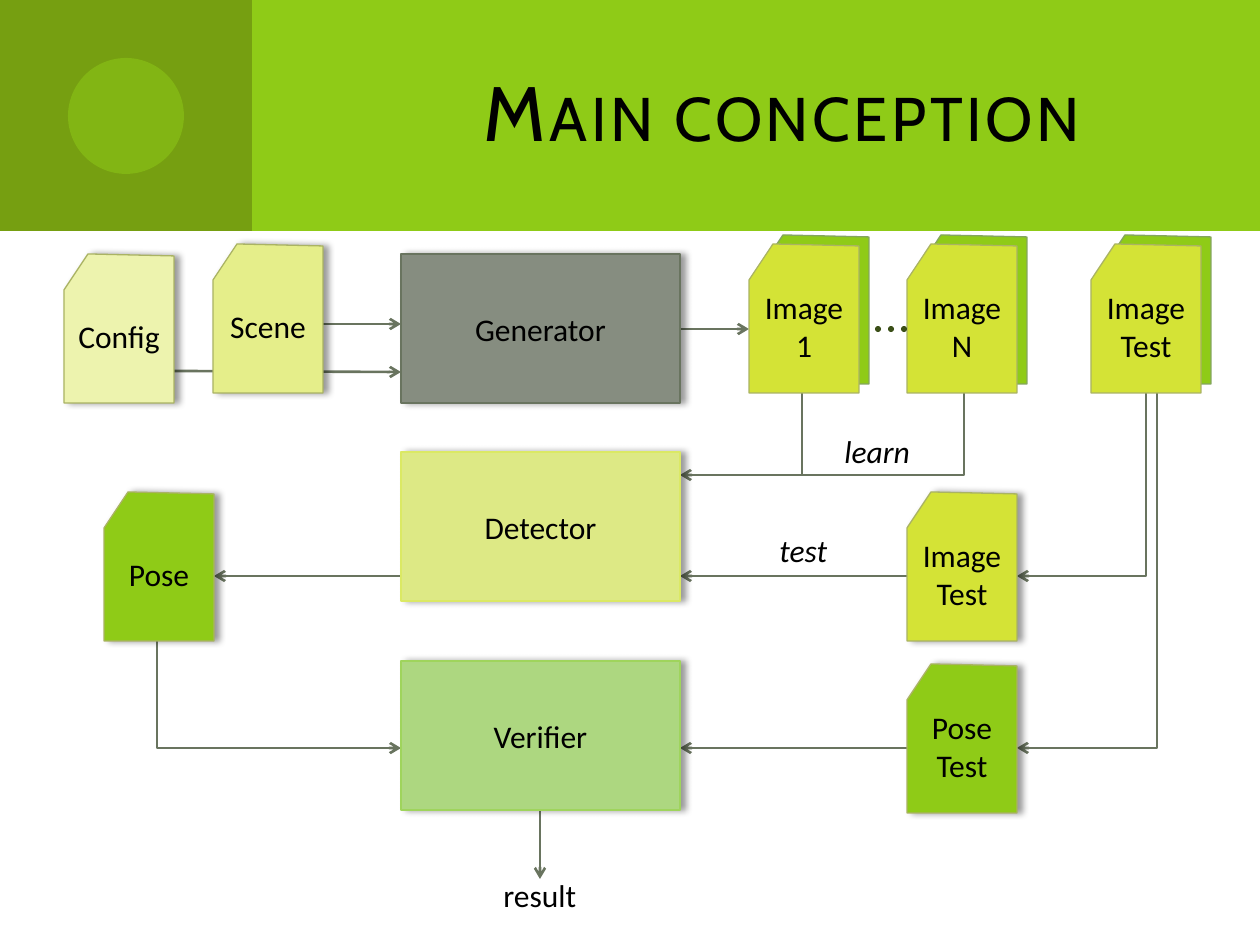
import pptx
import pptx.util
import pptx.dml.color
import pptx.enum.shapes
import pptx.enum.text
import pptx.oxml
import pptx.oxml.ns

RGB = pptx.dml.color.RGBColor
SHAPE = pptx.enum.shapes.MSO_SHAPE
CONNECTOR = pptx.enum.shapes.MSO_CONNECTOR
ALIGN = pptx.enum.text.PP_ALIGN
ANCHOR = pptx.enum.text.MSO_ANCHOR
qn = pptx.oxml.ns.qn

SCALE = 914400 / 126  # EMU in one px
BLACK = RGB(0x00, 0x00, 0x00)
GREEN = RGB(0x8F, 0xCB, 0x17)
DARK_GREEN = RGB(0x76, 0x9F, 0x11)
LIME = RGB(0xD4, 0xE3, 0x36)
CONFIG_FILL = RGB(0xED, 0xF3, 0xAE)
SCENE_FILL = RGB(0xE5, 0xEE, 0x8A)
CARD_LINE = RGB(0xAA, 0xB3, 0x63)
BACK_LINE = RGB(0x84, 0xA5, 0x5E)
ARROW = RGB(0x69, 0x74, 0x5F)
GENERATOR_FILL = RGB(0x86, 0x8D, 0x80)
DETECTOR_FILL = RGB(0xDD, 0xE9, 0x85)
DETECTOR_LINE = RGB(0xDB, 0xE9, 0x64)
VERIFIER_FILL = RGB(0xAD, 0xD7, 0x80)
VERIFIER_LINE = RGB(0x9F, 0xD4, 0x5C)
DOT = RGB(0x3B, 0x4F, 0x18)

CARD_W, CARD_H = 110, 149
CARD_OUTLINE = [(0, 36), (24, 0), (CARD_W, 2), (CARD_W, CARD_H), (0, CARD_H)]
BOX_W, BOX_H = 279, 149
SHADOW = (
    '<a:effectLst xmlns:a="http://schemas.openxmlformats.org/drawingml/2006/main">'
    '<a:outerShdw blurRad="50800" dist="38100" dir="0" rotWithShape="0">'
    '<a:srgbClr val="000000"><a:alpha val="40000"/></a:srgbClr>'
    '</a:outerShdw></a:effectLst>'
)


def px(*lengths):
    return [round(n * SCALE) for n in lengths]


def paint(sp, fill, line=None, shadow=False):
    sp.fill.solid()
    sp.fill.fore_color.rgb = fill
    if line is None:
        sp.line.fill.background()
    else:
        sp.line.color.rgb = line
        sp.line.width = pptx.util.Pt(0.75)
    sp.shadow.inherit = False
    if shadow:
        effects = sp._element.spPr.find(qn("a:effectLst"))
        effects.getparent().replace(effects, pptx.oxml.parse_xml(SHADOW))


def write(sp, text, align=ALIGN.CENTER, size=18, font="Calibri", italic=False):
    tf = sp.text_frame
    tf.text = text
    p = tf.paragraphs[0]
    p.alignment = align
    for r in p.runs:
        r.font.size = pptx.util.Pt(size)
        r.font.name = font
        r.font.color.rgb = BLACK
        if italic:
            r.font.italic = True
    return tf


def shape(s, kind, x, y, w, h, fill, line=None, shadow=False):
    sp = s.shapes.add_shape(kind, *px(x, y, w, h))
    paint(sp, fill, line, shadow)
    return sp


def label(s, text, x, y, w, h, align=ALIGN.CENTER, italic=False):
    sp = s.shapes.add_textbox(*px(x, y, w, h))
    write(sp, text, align, italic=italic).word_wrap = True


def process(s, text, x, y, fill, line):
    sp = shape(s, SHAPE.RECTANGLE, x, y, BOX_W, BOX_H, fill, line, shadow=True)
    write(sp, text).vertical_anchor = ANCHOR.MIDDLE


def sheet(s, x, y, fill, line, shadow=False):
    points = [(x + dx, y + dy) for dx, dy in CARD_OUTLINE]
    builder = s.shapes.build_freeform(*points[0], scale=SCALE)
    builder.add_line_segments(points[1:], close=True)
    paint(builder.convert_to_shape(), fill, line, shadow)


def card(s, text, x, y, fill, stacked=False):
    if stacked:
        sheet(s, x + 10, y - 9, GREEN, BACK_LINE)
    sheet(s, x, y, fill, CARD_LINE, shadow=not stacked)
    h = 89 if "\v" in text else 50
    label(s, text, x, y + 82 - h // 2, CARD_W, h)


def connect(s, x1, y1, x2, y2, bent=False, arrow=True):
    """Straight line, or a bent one that runs vertically first."""
    kind = CONNECTOR.ELBOW if bent else CONNECTOR.STRAIGHT
    c = s.shapes.add_connector(kind, *px(x1, y1, x2, y2))
    c.line.color.rgb = ARROW
    c.line.width = pptx.util.Pt(1.5)
    spPr = c._element.spPr
    if bent:
        guides = spPr.find(qn("a:prstGeom")).get_or_add_avLst()
        gd = guides.makeelement(qn("a:gd"), {"name": "adj1", "fmla": "val 0"})
        guides.append(gd)
    if arrow:
        ln = c.line._get_or_add_ln()
        ln.append(ln.makeelement(qn("a:tailEnd"), {"type": "arrow"}))
    spPr.append(spPr.makeelement(qn("a:effectLst"), {}))


def header(s):
    shape(s, SHAPE.RECTANGLE, 0, 0, 1260, 231, GREEN)
    shape(s, SHAPE.RECTANGLE, 0, 0, 252, 231, DARK_GREEN)
    disc = shape(s, SHAPE.OVAL, 68, 58, 116, 116, GREEN)
    colour = disc._element.spPr.find(qn("a:solidFill"))[0]
    colour.append(colour.makeelement(qn("a:alpha"), {"val": "50000"}))

    # Title goes in front of the band
    title = s.shapes.title
    title._element.getparent().append(title._element)
    title.left, title.top, title.width, title.height = px(336, 32, 861, 157)
    tf = write(title, "Main conception", ALIGN.RIGHT, 44, "Cabin")
    tf.vertical_anchor = ANCHOR.MIDDLE
    tf.margin_right = px(64)[0]
    rPr = tf.paragraphs[0].runs[0].font._element
    rPr.set("cap", "small")
    rPr.set("spc", "200")


def main():
    prs = pptx.Presentation()
    prs.slide_width, prs.slide_height = px(1260, 945)
    s = prs.slides.add_slide(prs.slide_layouts[5])
    header(s)

    # Flow lines, behind the cards
    for ends in [
        (323, 324, 401, 324), (174, 371, 401, 372), (680, 329, 749, 329),
        (907, 576, 680, 576), (401, 576, 214, 576), (907, 748, 680, 748),
        (540, 810, 540, 879),
    ]:
        connect(s, *ends)
    for ends in [
        (802, 393, 680, 475), (1146, 393, 1017, 576),
        (1157, 393, 1017, 748), (157, 641, 401, 748),
    ]:
        connect(s, *ends, bent=True)
    connect(s, 964, 393, 701, 475, bent=True, arrow=False)

    # Processing steps
    process(s, "Generator", 401, 254, GENERATOR_FILL, ARROW)
    process(s, "Detector", 401, 452, DETECTOR_FILL, DETECTOR_LINE)
    process(s, "Verifier", 401, 661, VERIFIER_FILL, VERIFIER_LINE)

    # Data cards
    card(s, "Config", 64, 254, CONFIG_FILL)
    card(s, "Scene", 213, 244, SCENE_FILL)
    for text, x in [("Image\v1", 749), ("Image\vN", 907), ("Image\vTest", 1091)]:
        card(s, text, x, 244, LIME, stacked=True)
    card(s, "Image\vTest", 907, 492, LIME)
    card(s, "Pose\vTest", 907, 664, GREEN)
    card(s, "Pose", 104, 492, GREEN)

    # Ellipsis between the first and last image
    for i in range(3):
        shape(s, SHAPE.OVAL, 875 + 13 * i, 326, 6, 6, DOT)

    # Captions
    label(s, "learn", 832, 426, 93, 50, ALIGN.LEFT, italic=True)
    label(s, "test", 767, 525, 74, 50, ALIGN.LEFT, italic=True)
    label(s, "result", 491, 870, 100, 50, ALIGN.LEFT)

    prs.save("out.pptx")


if __name__ == "__main__":
    main()
